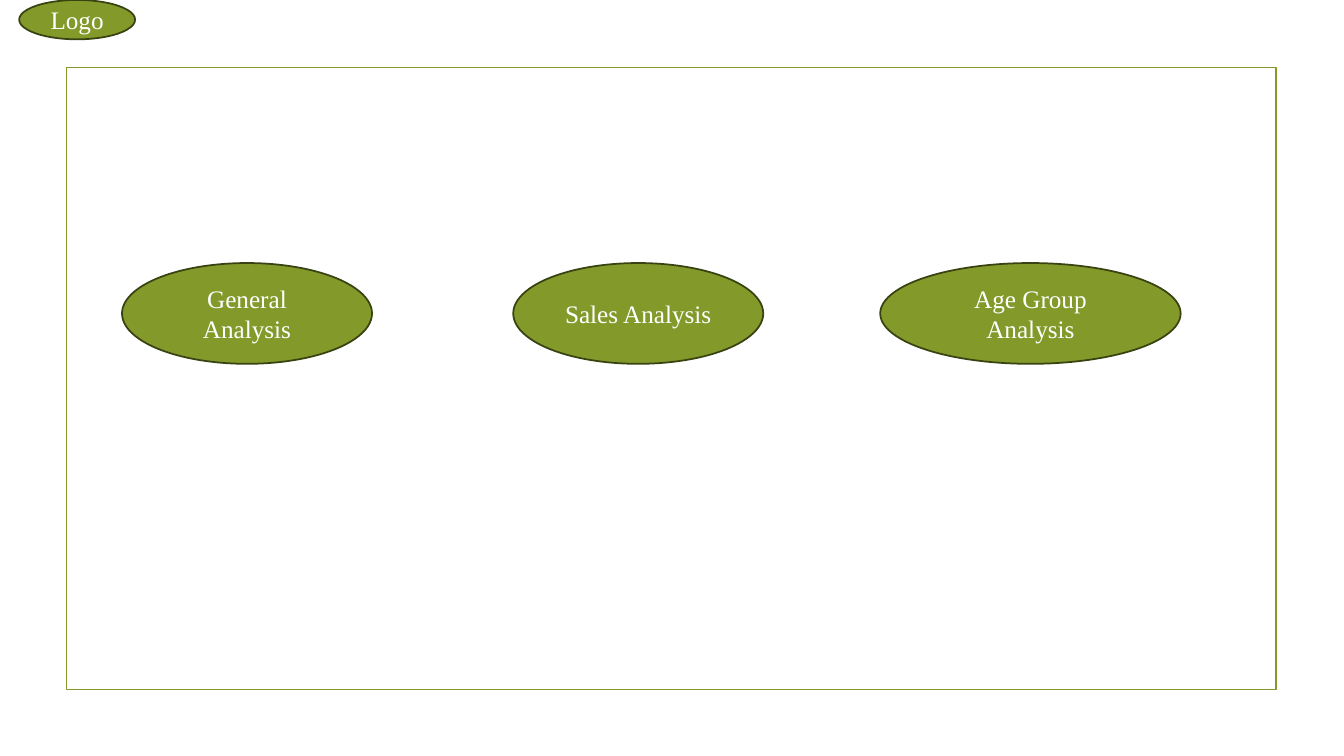
from dataclasses import dataclass

from pptx import Presentation
from pptx import util as u
from pptx.dml.color import RGBColor
from pptx.enum import shapes, text


@dataclass(frozen=True)
class Theme:
    olive: RGBColor = RGBColor(0x83, 0x99, 0x2A)
    dark_olive: RGBColor = RGBColor(0x39, 0x43, 0x12)
    white: RGBColor = RGBColor(0xFF, 0xFF, 0xFF)
    font: str = "Times New Roman"
    label_size: u.Pt = u.Pt(18)
    outline: u.Pt = u.Pt(1.25)


theme = Theme()


def write(shape, wording, *, size=theme.label_size, color=theme.white,
          align=text.PP_ALIGN.CENTER, anchor=text.MSO_ANCHOR.MIDDLE):
    frame = shape.text_frame
    frame.word_wrap = True
    frame.vertical_anchor = anchor
    paragraph = frame.paragraphs[0]
    paragraph.alignment = align
    run = paragraph.add_run()
    run.text = wording
    run.font.name = theme.font
    run.font.size = size
    run.font.color.rgb = color


prs = Presentation()
prs.slide_width = u.Inches(13.33)
prs.slide_height = u.Inches(7.5)
slide = prs.slides.add_slide(prs.slide_layouts[6])

border = slide.shapes.add_shape(
    shapes.MSO_SHAPE.RECTANGLE,
    u.Inches(0.66), u.Inches(0.67), u.Inches(12), u.Inches(6.17))
border.shadow.inherit = False
border.fill.background()
border.line.color.rgb = theme.olive
border.line.width = theme.outline

buttons = [
    ("General Analysis", 1.21, 2.61, 2.48, 1),
    ("Sales Analysis", 5.09, 2.61, 2.48, 1),
    ("Age Group Analysis", 8.73, 2.61, 2.98, 1),
    ("Logo", 0.19, 0, 1.15, 0.39),
]
for label, left, top, width, height in buttons:
    button = slide.shapes.add_shape(
        shapes.MSO_SHAPE.OVAL,
        u.Inches(left), u.Inches(top), u.Inches(width), u.Inches(height))
    button.shadow.inherit = False
    button.fill.solid()
    button.fill.fore_color.rgb = theme.olive
    button.line.color.rgb = theme.dark_olive
    button.line.width = theme.outline
    write(button, label)

prs.save("out.pptx")
